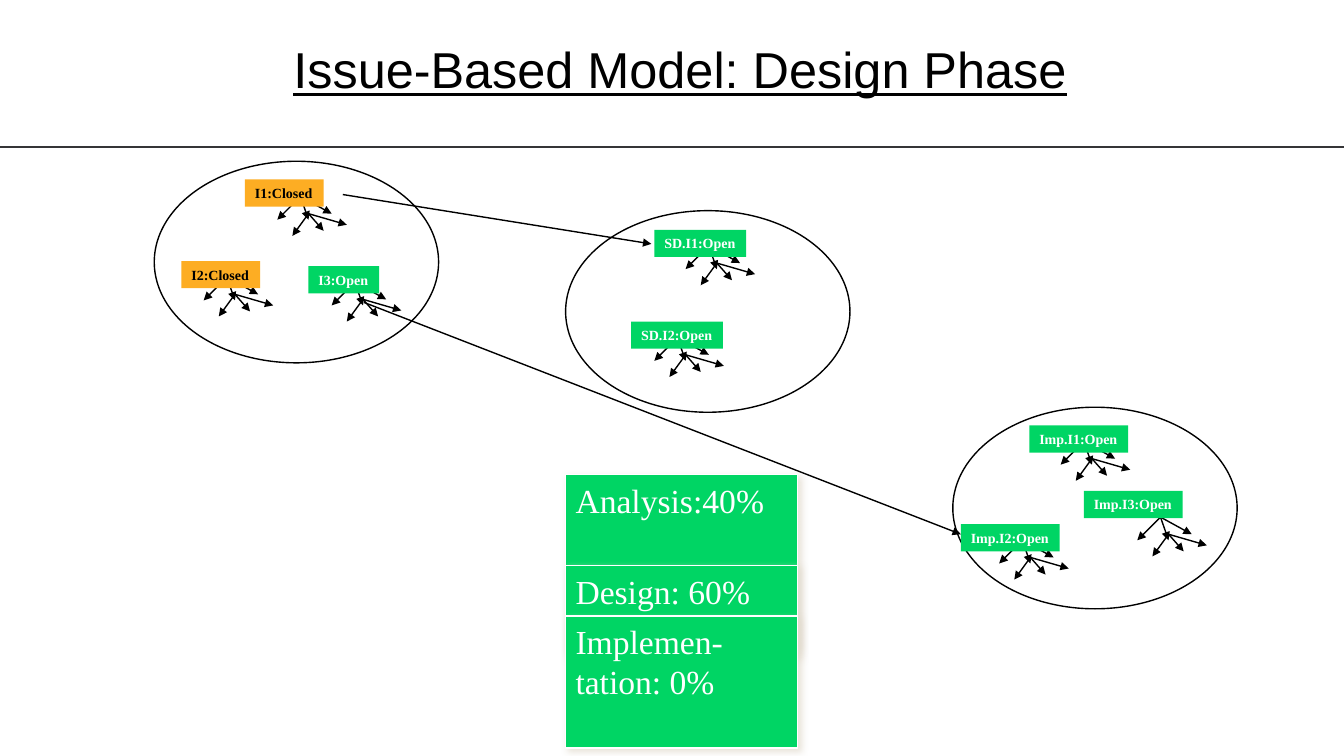
import pptx
import pptx.dml.color
import pptx.enum.shapes
import pptx.enum.text
import pptx.oxml
import pptx.oxml.ns
import pptx.util

Inches = pptx.util.Inches
Pt = pptx.util.Pt
SHAPES = pptx.enum.shapes.MSO_SHAPE

BLACK, WHITE, RULE_GREY = "000000", "FFFFFF", "353537"
OPEN_GREEN, CLOSED_ORANGE, SHADOW = "00D564", "FDAD23", "E3DCCF"
SERIF = "Times New Roman"

PHASE_W, PHASE_H = 2.82, 2
LABEL_H = 0.27

# Rays of a subtree, as start and end offsets from its apex
HUB = (0.08, 0.17)
RAYS = [
    ((0, 0), (0.08, 0.23)),
    ((0, 0), (-0.23, 0.23)),
    ((0, 0), (0.31, 0.17)),
    (HUB, (-0.08, 0.39)),
    (HUB, (0.23, 0.34)),
    (HUB, (0.46, 0.28)),
]

# Phase corner, then its issues: text, label offset, label width, apex offset from label
PHASES = [
    ((1.53, 1.6), [
        ("I1:Closed", (0.9, 0.18), 0.78, (0.55, 0.17)),
        ("I2:Closed", (0.27, 0.99), 0.78, (0.45, 0.16)),
        ("I3:Open", (1.53, 1.04), 0.7, (0.46, 0.16)),
    ]),
    ((5.61, 2.09), [
        ("SD.I1:Open", (0.88, 0.19), 0.91, (0.54, 0.16)),
        ("SD.I2:Open", (0.65, 1.1), 0.91, (0.46, 0.16)),
    ]),
    ((9.45, 4.04), [
        ("Imp.I1:Open", (0.76, 0.18), 0.98, (0.54, 0.16)),
        ("Imp.I2:Open", (0.08, 1.16), 0.98, (0.61, 0.16)),
        ("Imp.I3:Open", (1.3, 0.83), 0.98, (0.76, 0.26)),
    ]),
]

DEPENDENCIES = [((3.4, 1.93), (6.46, 2.42)), ((3.61, 3), (9.53, 5.3))]

# Text, offset from the top of the stack, height
PROGRESS = [
    ("Analysis:40%", 0, 1.71),
    ("Design: 60%", 0.9, 0.9),
    ("Implemen-tation: 0%", 1.4, 1.31),
]


def rgb(value):
    return pptx.dml.color.RGBColor.from_string(value)


def add_line(slide, start, end, color=BLACK, arrow=True):
    line = slide.shapes.add_connector(
        pptx.enum.shapes.MSO_CONNECTOR.STRAIGHT,
        *(Inches(value) for value in (*start, *end)))
    line.line.color.rgb = rgb(color)
    line.line.width = Pt(1)
    if arrow:
        tail = pptx.oxml.parse_xml(
            f'<a:tailEnd {pptx.oxml.ns.nsdecls("a")} type="triangle"/>')
        line.line._get_or_add_ln().append(tail)
    line._element.spPr.append(
        pptx.oxml.parse_xml(f'<a:effectLst {pptx.oxml.ns.nsdecls("a")}/>'))


def add_box(slide, preset, left, top, width, height, fill=None, line=None):
    box = slide.shapes.add_shape(
        preset, Inches(left), Inches(top), Inches(width), Inches(height))
    box.shadow.inherit = False
    if fill:
        box.fill.solid()
        box.fill.fore_color.rgb = rgb(fill)
    else:
        box.fill.background()
    if line:
        box.line.color.rgb = rgb(line)
        box.line.width = Pt(1)
    else:
        box.line.fill.background()
    return box


def write(shape, text, size, color, font=SERIF, wrap=True):
    frame = shape.text_frame
    frame.text = text
    frame.word_wrap = wrap
    frame.auto_size = pptx.enum.text.MSO_AUTO_SIZE.NONE
    frame.vertical_anchor = pptx.enum.text.MSO_ANCHOR.TOP
    frame.margin_left = frame.margin_right = Inches(0.1)
    frame.margin_top = frame.margin_bottom = Inches(0.05)
    paragraph = frame.paragraphs[0]
    paragraph.alignment = pptx.enum.text.PP_ALIGN.LEFT
    paragraph.font.name = font
    paragraph.font.size = Pt(size)
    paragraph.font.color.rgb = rgb(color)
    return paragraph


def add_header(slide, left, top, width, height):
    title = slide.shapes.title
    title.left, title.top = Inches(left), Inches(top)
    title.width, title.height = Inches(width), Inches(height)
    heading = write(title, "Issue-Based Model: Design Phase", 36, BLACK, "Arial")
    heading.font.underline = True
    add_line(slide, (0, 1.46), (13.33, 1.46), RULE_GREY, arrow=False)


def add_issue(slide, left, top, width, text, apex):
    """Draw a subtree of rays with its issue label on top."""
    apex_x, apex_y = left + apex[0], top + apex[1]
    for start, end in RAYS:
        add_line(slide, (apex_x + start[0], apex_y + start[1]),
                 (apex_x + end[0], apex_y + end[1]))
    closed = text.endswith("Closed")
    label = add_box(slide, SHAPES.RECTANGLE, left, top, width, LABEL_H,
                    CLOSED_ORANGE if closed else OPEN_GREEN)
    write(label, text, 10, BLACK if closed else WHITE, wrap=False).font.bold = True


def add_phase(slide, left, top, issues):
    add_box(slide, SHAPES.OVAL, left, top, PHASE_W, PHASE_H, line=BLACK)
    for text, offset, width, apex in issues:
        add_issue(slide, left + offset[0], top + offset[1], width, text, apex)


def add_soft_shadow(shape):
    effects = shape._element.spPr.find(pptx.oxml.ns.qn("a:effectLst"))
    effects.append(pptx.oxml.parse_xml(
        f'<a:outerShdw {pptx.oxml.ns.nsdecls("a")} blurRad="{Pt(5)}" '
        f'dist="{Pt(3)}" dir="2700000" algn="tl" rotWithShape="0">'
        f'<a:srgbClr val="{SHADOW}"><a:alpha val="75000"/></a:srgbClr>'
        '</a:outerShdw>'))


def add_progress(slide, left, top, width):
    for text, offset, height in PROGRESS:
        step = add_box(slide, SHAPES.RECTANGLE, left, top + offset, width, height,
                       OPEN_GREEN, WHITE)
        add_soft_shadow(step)
        write(step, text, 24, WHITE)


def main():
    deck = pptx.Presentation()
    deck.slide_width, deck.slide_height = Inches(13.33), Inches(7.5)
    slide = deck.slides.add_slide(deck.slide_layouts[5])
    add_header(slide, 2.81, 0.33, 8.69, 0.71)
    for corner, issues in PHASES:
        add_phase(slide, *corner, issues)
    for start, end in DEPENDENCIES:
        add_line(slide, start, end)
    add_progress(slide, 5.61, 4.71, 2.3)
    deck.save("out.pptx")


if __name__ == "__main__":
    main()
